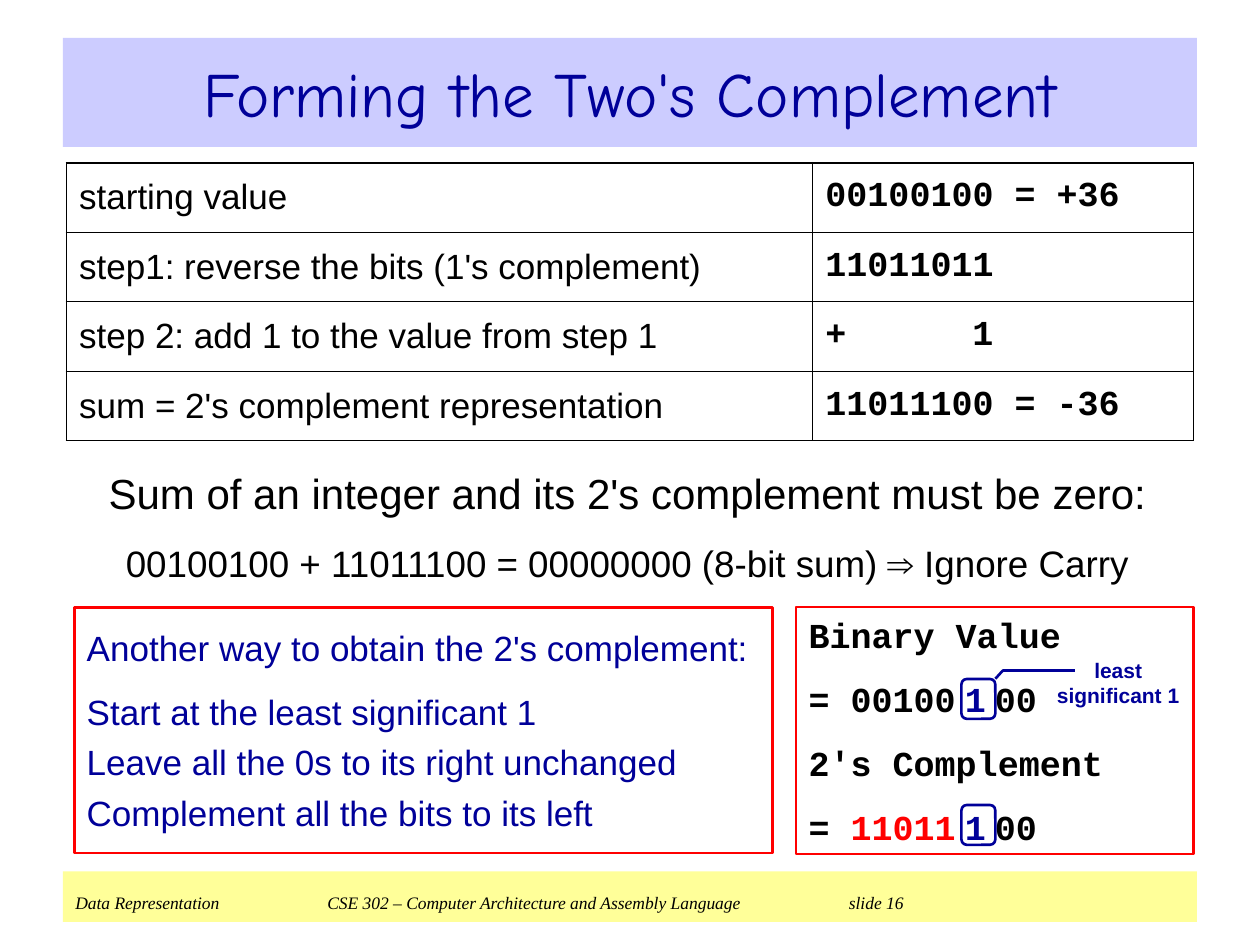
from dataclasses import dataclass

from lxml import etree
from pptx import Presentation
from pptx.dml.color import RGBColor
from pptx.enum.shapes import MSO_SHAPE
from pptx.enum.text import MSO_ANCHOR, PP_ALIGN
from pptx.oxml.ns import qn
from pptx.util import Pt

RECT, ROUNDED = MSO_SHAPE.RECTANGLE, MSO_SHAPE.ROUNDED_RECTANGLE
LEFT, CENTER = PP_ALIGN.LEFT, PP_ALIGN.CENTER
TOP, MIDDLE = MSO_ANCHOR.TOP, MSO_ANCHOR.MIDDLE

COLORS = {
    "ink": "000000", "navy": "000099", "red": "FF0000",
    "title": "CCCCFF", "footer": "FFFF99",
}
SANS, MONO, SERIF, COMIC = "Arial", "Courier New", "Times New Roman", "Comic Neue"
GAP_SIZE = 8.5  # narrow spaces around the marked bit


@dataclass
class Run:
    text: str
    color: str | None = None
    size: float | None = None


@dataclass
class Para:
    runs: list[Run]
    size: float
    font: str = SANS
    color: str = "ink"
    bold: bool = False
    italic: bool = False
    align: PP_ALIGN = LEFT
    before: float = 0
    tabs: tuple[float, ...] = ()


@dataclass
class Box:
    left: float
    top: float
    width: float
    height: float
    paras: list[Para]
    fill: str | None = None
    line: str | None = None
    anchor: MSO_ANCHOR = TOP
    inset_x: float = 7.2
    inset_y: float = 3.6


def rgb(name: str) -> RGBColor:
    return RGBColor.from_string(COLORS[name])


def write_para(p, para: Para) -> None:
    p.alignment = para.align
    p.space_before = Pt(para.before)
    f = p.font
    f.name, f.size, f.bold, f.italic = para.font, Pt(para.size), para.bold, para.italic
    f.color.rgb = rgb(para.color)
    if para.tabs:
        tab_list = etree.Element(qn("a:tabLst"))
        for pos in para.tabs:
            etree.SubElement(tab_list, qn("a:tab"), pos=str(Pt(pos)), algn="l")
        p._p.pPr.find(qn("a:defRPr")).addprevious(tab_list)
    for run in para.runs:
        r = p.add_run()
        r.text = run.text
        if run.color:
            r.font.color.rgb = rgb(run.color)
        if run.size:
            r.font.size = Pt(run.size)


def style_shape(sp, fill: str | None, line: str | None) -> None:
    sp.shadow.inherit = False
    if fill:
        sp.fill.solid()
        sp.fill.fore_color.rgb = rgb(fill)
    else:
        sp.fill.background()
    if line:
        sp.line.color.rgb = rgb(line)
        sp.line.width = Pt(1.5)
    else:
        sp.line.fill.background()


def add_box(s, box: Box) -> None:
    sp = s.shapes.add_shape(RECT, Pt(box.left), Pt(box.top), Pt(box.width), Pt(box.height))
    style_shape(sp, box.fill, box.line)
    tf = sp.text_frame
    tf.word_wrap = True
    tf.vertical_anchor = box.anchor
    tf.margin_left = tf.margin_right = Pt(box.inset_x)
    tf.margin_top = tf.margin_bottom = Pt(box.inset_y)
    for i, para in enumerate(box.paras):
        write_para(tf.add_paragraph() if i else tf.paragraphs[0], para)


def set_borders(cell, widths: dict[str, float]) -> None:
    """Put border lines, keyed L, R, T and B, ahead of the cell's fill."""
    tc_pr = cell._tc.get_or_add_tcPr()
    for i, (side, width) in enumerate(widths.items()):
        ln = etree.Element(qn(f"a:ln{side}"), w=str(Pt(width)))
        fill = etree.SubElement(ln, qn("a:solidFill"))
        etree.SubElement(fill, qn("a:srgbClr"), val=COLORS["ink"])
        tc_pr.insert(i, ln)


def add_steps_table(s, steps: list[tuple[str, str]]) -> None:
    outer, inner = 1.08, 0.45
    last = len(steps) - 1
    table = s.shapes.add_table(len(steps), 2, Pt(38), Pt(93), Pt(644), Pt(158.8)).table
    table.first_row = table.horz_banding = False
    for column, width in zip(table.columns, (426.5, 217.5)):
        column.width = Pt(width)
    for i, texts in enumerate(steps):
        table.rows[i].height = Pt(39.7)
        for j, text in enumerate(texts):
            cell = table.cell(i, j)
            cell.fill.background()
            cell.vertical_anchor = MIDDLE
            font = MONO if j else SANS
            # the tab stop is seven fixed-width characters in
            tabs = (84,) if "\t" in text else ()
            write_para(cell.text_frame.paragraphs[0],
                       Para([Run(text)], 20, font, bold=j == 1, tabs=tabs))
            set_borders(cell, {
                "L": inner if j else outer, "R": outer if j else inner,
                "T": inner if i else outer, "B": outer if i == last else inner,
            })


def add_bit_marker(s, top: float) -> None:
    sp = s.shapes.add_shape(ROUNDED, Pt(549.4), Pt(top), Pt(19.4), Pt(22.8))
    sp.adjustments[0] = 0.16
    style_shape(sp, None, "navy")


def add_callout_line(s) -> None:
    points = [(Pt(x), Pt(y)) for x, y in ((614.2, 383.2), (573.1, 383.2), (568.8, 387.9))]
    builder = s.shapes.build_freeform(*points[0])
    builder.add_line_segments(points[1:], close=False)
    style_shape(builder.convert_to_shape(), None, "navy")


def bits(left: str, color: str) -> list[Run]:
    """Split a byte around its least significant 1."""
    return [Run("= "), Run(left, color), Run(" ", size=GAP_SIZE), Run("1", "navy"),
            Run(" ", size=GAP_SIZE), Run("00")]


def main() -> None:
    prs = Presentation()
    prs.slide_width, prs.slide_height = Pt(720), Pt(540)
    s = prs.slides.add_slide(prs.slide_layouts[6])

    footer = ("Data Representation\tCSE 302 – Computer Architecture and Assembly Language"
              "\tslide 16")
    method = [("Another way to obtain the 2's complement:", 12.5),
              ("Start at the least significant 1", 12.5),
              ("Leave all the 0s to its right unchanged", 5),
              ("Complement all the bits to its left", 5)]
    example = [[Run("Binary Value")], bits("00100", "ink"),
               [Run("2's Complement")], bits("11011", "red")]
    boxes = [
        Box(36, 498, 648, 28.8, [Para([Run(footer)], 10, SERIF, italic=True,
                                      tabs=(144, 442))], fill="footer", inset_y=12),
        Box(36, 21.6, 648, 62.4, [Para([Run("Forming the Two's Complement")], 36, COMIC,
                                       "navy", align=CENTER)], fill="title", anchor=MIDDLE),
        Box(48, 256.3, 621, 88.6, [
            Para([Run("Sum of an integer and its 2's complement must be zero:")], 24,
                 align=CENTER, before=15),
            Para([Run("00100100 + 11011100 = 00000000 (8-bit sum) ⇒ Ignore Carry")], 21,
                 align=CENTER, before=13.1)], inset_y=10.8),
        Box(42.5, 347, 399, 140.4, [
            Para([Run(text)], 20, color="navy", before=before)
            for text, before in method], line="red", inset_y=10.8),
        Box(455, 347, 227, 141, [
            Para(runs, 20, MONO, bold=True, before=12.5)
            for runs in example], line="red"),
        Box(600.5, 374.4, 77, 31.7, [
            Para([Run(text)], 12, color="navy", bold=True, align=CENTER)
            for text in ("least", "significant 1")], anchor=MIDDLE, inset_x=0, inset_y=0),
    ]
    for box in boxes:
        add_box(s, box)

    add_steps_table(s, [
        ("starting value", "00100100 = +36"),
        ("step1: reverse the bits (1's complement)", "11011011"),
        ("step 2: add 1 to the value from step 1", "+\t1"),
        ("sum = 2's complement representation", "11011100 = -36"),
    ])
    for top in (388, 460):
        add_bit_marker(s, top)
    add_callout_line(s)
    prs.save("out.pptx")


if __name__ == "__main__":
    main()
